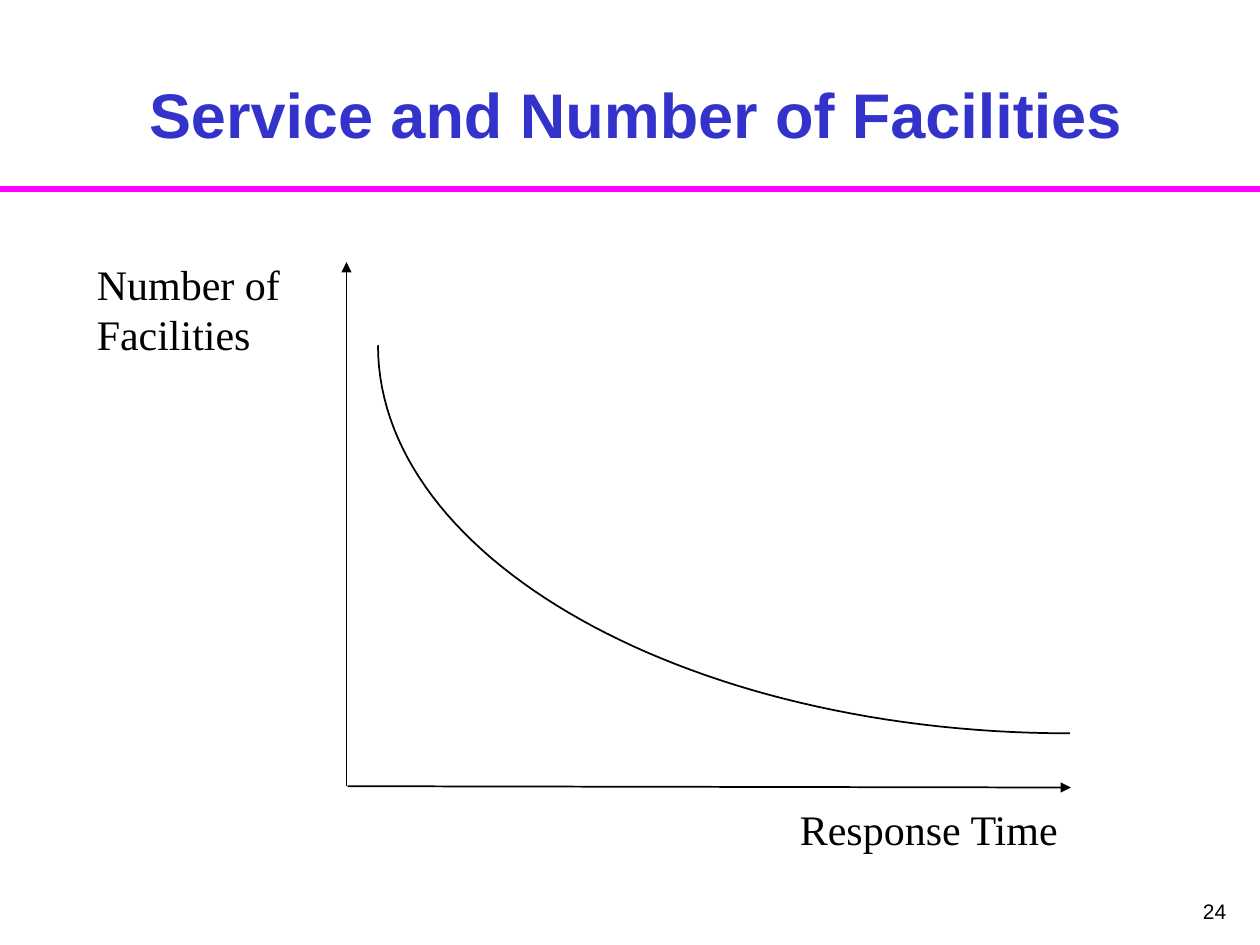
from lxml import etree
from pptx import Presentation
from pptx.dml.color import RGBColor
from pptx.enum.shapes import MSO_CONNECTOR
from pptx.enum.text import MSO_ANCHOR, PP_ALIGN
from pptx.oxml.ns import qn
from pptx.util import Inches, Pt

COLORS = {"rule": "FF00FF", "title": "3333CC", "ink": "000000"}
TITLE = {"name": "Arial", "size": Pt(36), "bold": True}
LABEL = {"name": "Times New Roman", "size": Pt(24)}
NUMBER = {"name": "Arial", "size": Pt(12)}

prs = Presentation()
prs.slide_width, prs.slide_height = Inches(10), Inches(7.5)
slide = prs.slides.add_slide(prs.slide_layouts[6])


def add_text(text, box, font, color="ink", align=PP_ALIGN.LEFT, anchor=MSO_ANCHOR.TOP):
    frame = slide.shapes.add_textbox(*map(Inches, box)).text_frame
    frame.word_wrap = True
    frame.vertical_anchor = anchor
    paragraph = frame.paragraphs[0]
    paragraph.alignment = align
    run = paragraph.add_run()
    run.text = text
    for key, value in font.items():
        setattr(run.font, key, value)
    run.font.color.rgb = RGBColor.from_string(COLORS[color])


def add_line(start, end, color, width, arrow=False):
    line = slide.shapes.add_connector(
        MSO_CONNECTOR.STRAIGHT, *map(Inches, (*start, *end)))
    line.line.color.rgb = RGBColor.from_string(COLORS[color])
    line.line.width = Pt(width)
    if arrow:
        etree.SubElement(line.line._get_or_add_ln(), qn("a:tailEnd"), type="triangle")
    etree.SubElement(line._element.spPr, qn("a:effectLst"))


# Heading and page number
add_line((0, 1.5), (10, 1.5), "rule", 4)
add_text("24", (7.75, 7.08, 2.08, 0.42), NUMBER, align=PP_ALIGN.RIGHT)
add_text("Service and Number of Facilities", (0.42, 0.29, 9.25, 0.96), TITLE,
         "title", PP_ALIGN.CENTER, MSO_ANCHOR.BOTTOM)

# Axes with their labels
add_line((2.75, 6.24), (2.75, 2.08), "ink", 1, arrow=True)
add_line((2.76, 6.24), (8.5, 6.25), "ink", 1, arrow=True)
add_text("Number of Facilities", (0.67, 2, 2, 0.9), LABEL)
add_text("Response Time", (6.25, 6.33, 2.42, 0.5), LABEL)

# Trade-off curve: a cubic Bezier traced in short steps
CONTROLS = [(3, 2.74), (3, 4.44), (5.46, 5.82), (8.49, 5.82)]
STEPS = 60
points = []
for step in range(STEPS + 1):
    t = step / STEPS
    weights = ((1 - t) ** 3, 3 * t * (1 - t) ** 2, 3 * t ** 2 * (1 - t), t ** 3)
    points.append(tuple(
        Inches(sum(w * v for w, v in zip(weights, axis))) for axis in zip(*CONTROLS)))
builder = slide.shapes.build_freeform(*points[0])
builder.add_line_segments(points[1:], close=False)
curve = builder.convert_to_shape()
curve.shadow.inherit = False
curve.fill.background()
curve.line.color.rgb = RGBColor.from_string(COLORS["ink"])
curve.line.width = Pt(1)

prs.save("out.pptx")
